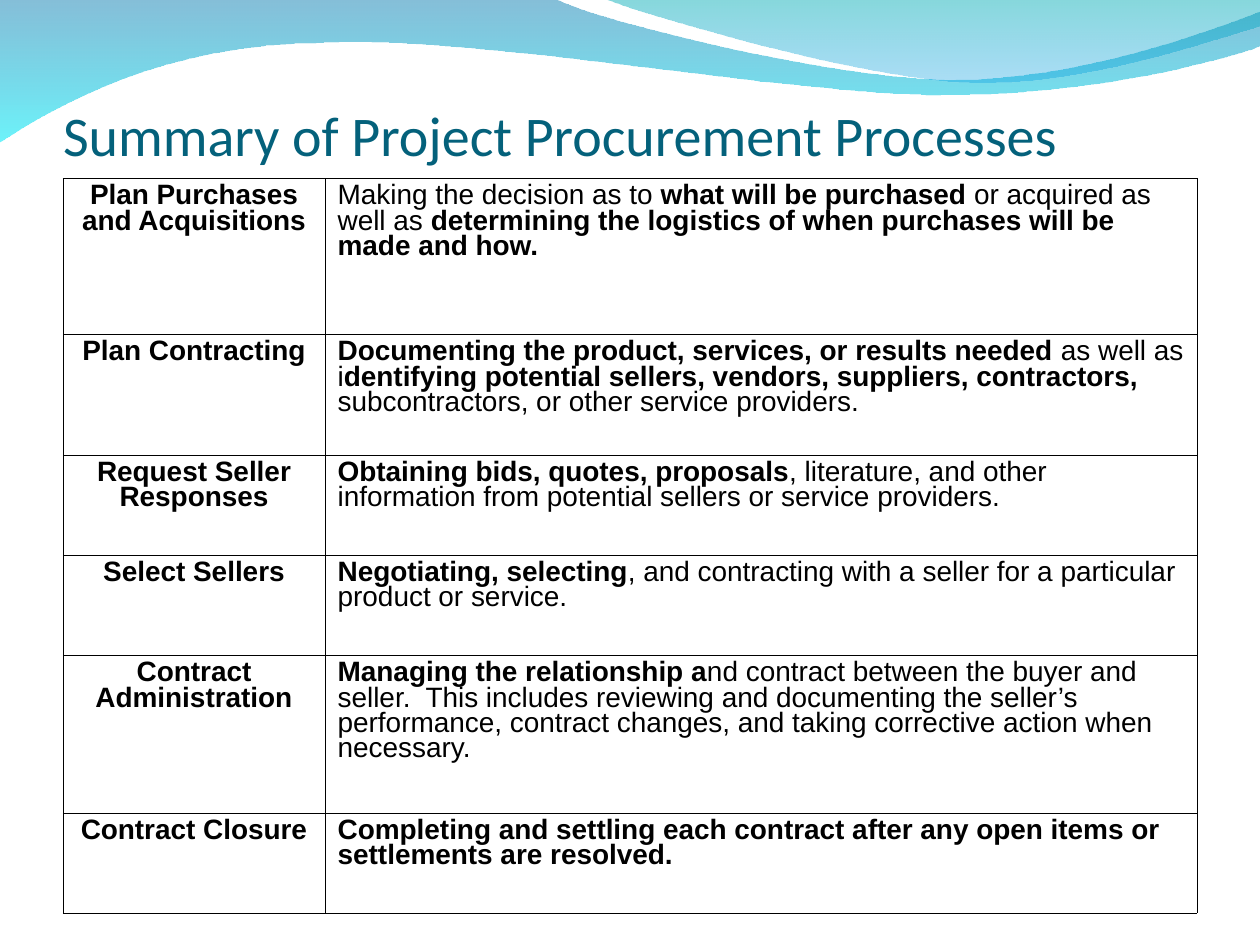
import pptx
import pptx.dml.color
import pptx.enum.text
import pptx.oxml
import pptx.oxml.ns
import pptx.util
from lxml import etree

INK = pptx.dml.color.RGBColor(0x00, 0x00, 0x00)
TITLE_TEAL = pptx.dml.color.RGBColor(0x04, 0x61, 0x7B)
DEEP_BLUE = pptx.dml.color.RGBColor(0x00, 0x79, 0xAF)
AQUA = pptx.dml.color.RGBColor(0x00, 0xEB, 0xF8)
SEA_GREEN = pptx.dml.color.RGBColor(0x00, 0xAD, 0xB6)
SKY_BLUE = pptx.dml.color.RGBColor(0x00, 0x9B, 0xE5)

ALIGN = pptx.enum.text.PP_ALIGN
ANCHOR = pptx.enum.text.MSO_ANCHOR
GRID_COLUMNS = 10
FIRST_WAVE_ID = 100
COLUMN_SHARES = (2.08, 6.92)
ROW_SHARES = (1.24, 0.96, 0.79, 0.8, 1.25, 0.8)
BORDER_WIDTH = pptx.util.Pt(0.06)

LONG_WAVE = [
    [(0, -0.01)],
    [(4.4, -0.01)],
    [(4.76, 0.17), (6.64, 0.63), (7.58, 0.63)],
    [(8.53, 0.63), (9.58, 0.26), (10, 0.09)],
    [(10.01, 0.36)],
    [(9.83, 0.44), (8.7, 0.76), (7.46, 0.75)],
    [(6.22, 0.75), (3.82, 0.28), (2.57, 0.34)],
    [(1.29, 0.35), (0.46, 0.83), (-0.01, 1.13)],
]
SHORT_WAVE = [
    [(4.79, -0.01)],
    [(5.09, 0.11), (6.82, 0.62), (7.69, 0.65)],
    [(8.56, 0.69), (9.61, 0.32), (10, 0.21)],
    [(10, 0)],
]
WAVES = [
    (LONG_WAVE, [(DEEP_BLUE, 48), (AQUA, 58)]),
    (SHORT_WAVE, [(SEA_GREEN, 48), (SKY_BLUE, 33)]),
]

PROCESSES = [
    ("Plan Purchases and Acquisitions",
     "Making the decision as to *what will be purchased* or acquired as well as "
     "*determining the logistics of when purchases will be made and how.*"),
    ("Plan Contracting",
     "*Documenting the product, services, or results needed* as well as i"
     "*dentifying potential sellers, vendors, suppliers, contractors,* "
     "subcontractors, or other service providers."),
    ("Request Seller Responses",
     "*Obtaining bids, quotes, proposals*, literature, and other information "
     "from potential sellers or service providers."),
    ("Select Sellers",
     "*Negotiating, selecting*, and contracting with a seller for a particular "
     "product or service."),
    ("Contract Administration",
     "*Managing the relationship a*nd contract between the buyer and seller.  "
     "This includes reviewing and documenting the seller’s performance, contract "
     "changes, and taking corrective action when necessary."),
    ("Contract Closure",
     "*Completing and settling each contract after any open items or "
     "settlements are resolved.*"),
]


def apply_format(target, values):
    """Set each named attribute of the target."""
    for name, value in values.items():
        setattr(target, name, value)


def style_font(font, color, values):
    """Give a font its colour and format values."""
    font.color.rgb = color
    apply_format(font, values)


def bend_segments(wave, outline):
    """Turn each run of three line points into one cubic curve."""
    lines = iter(list(wave.element.iter(pptx.oxml.ns.qn("a:lnTo"))))
    for segment in outline[1:]:
        nodes = [next(lines) for point in segment]
        if len(nodes) == 3:
            curve = pptx.oxml.parse_xml(
                f'<a:cubicBezTo {pptx.oxml.ns.nsdecls("a")}/>')
            nodes[0].addprevious(curve)
            for node in nodes:
                curve.append(node[0])
                node.getparent().remove(node)


def draw_wave(page, box, outline, stops):
    """Draw one translucent gradient wave on the grid of the box."""
    left, top, width, height = box
    unit = width / GRID_COLUMNS
    spots = [(left + x * unit, top + y * unit)
             for segment in outline for x, y in segment]
    builder = page.shapes.build_freeform(*spots[0])
    builder.add_line_segments(spots[1:], close=True)
    wave = builder.convert_to_shape()
    bend_segments(wave, outline)
    wave.shadow.inherit = False
    wave.line.fill.background()
    wave.fill.gradient()
    wave.fill.gradient_angle = 270
    for stop, (color, opacity) in zip(wave.fill.gradient_stops, stops):
        stop.color.rgb = color
    colors = wave.element.spPr.iter(pptx.oxml.ns.qn("a:srgbClr"))
    for node, (color, opacity) in zip(colors, stops):
        etree.SubElement(node, pptx.oxml.ns.qn("a:alpha"), val=str(opacity * 1000))
    return wave


def dress_master(deck, page, box):
    """Put the waves on the slide master, behind its placeholders."""
    front = deck.slide_master.placeholders[0].element
    for number, (outline, stops) in enumerate(WAVES):
        wave = draw_wave(page, box, outline, stops)
        wave.element.nvSpPr.cNvPr.set("id", str(FIRST_WAVE_ID + number))
        front.addprevious(wave.element)


def place_title(page, box, text):
    """Fill and format the title placeholder."""
    title = page.shapes.title
    apply_format(title, dict(zip(("left", "top", "width", "height"), box)))
    frame = title.text_frame
    apply_format(frame, {
        "text": text, "word_wrap": True, "vertical_anchor": ANCHOR.BOTTOM,
        "auto_size": pptx.enum.text.MSO_AUTO_SIZE.NONE,
        "margin_left": 0, "margin_right": 0, "margin_bottom": 0,
        "margin_top": pptx.util.Inches(0.05)})
    para = frame.paragraphs[0]
    para.alignment = ALIGN.LEFT
    style_font(para.runs[0].font, TITLE_TEAL,
               {"name": "Calibri", "size": pptx.util.Pt(32)})


def border_cell(cell):
    """Draw a thin line on each side of a cell."""
    properties = cell._tc.get_or_add_tcPr()
    for index, side in enumerate(("lnL", "lnR", "lnT", "lnB")):
        properties.insert(index, pptx.oxml.parse_xml(
            f'<a:{side} {pptx.oxml.ns.nsdecls("a")} w="{BORDER_WIDTH}">'
            f'<a:solidFill><a:srgbClr val="{INK}"/></a:solidFill></a:{side}>'))


def fill_cell(cell, text, alignment):
    """Write text in a cell, with starred parts in bold."""
    cell.fill.background()
    border_cell(cell)
    para = cell.text_frame.paragraphs[0]
    apply_format(para, {"alignment": alignment, "line_spacing": 0.81,
                        "space_before": pptx.util.Pt(4)})
    for index, part in enumerate(text.split("*")):
        if part:
            span = para.add_run()
            span.text = part
            style_font(span.font, INK, {"name": "Arial", "size": pptx.util.Pt(16),
                                        "bold": index % 2 == 1})


def place_table(page, box, processes):
    """Place the table of processes and their descriptions."""
    table = page.shapes.add_table(len(processes), len(COLUMN_SHARES), *box).table
    apply_format(table, {"first_row": False, "horz_banding": False})
    for column, share in zip(table.columns, COLUMN_SHARES):
        column.width = int(box[2] * share / sum(COLUMN_SHARES))
    for row, share in zip(table.rows, ROW_SHARES):
        row.height = int(box[3] * share / sum(ROW_SHARES))
    for row, (name, description) in zip(table.rows, processes):
        fill_cell(row.cells[0], f"*{name}*", ALIGN.CENTER)
        fill_cell(row.cells[1], description, ALIGN.LEFT)


def main():
    """Build and save the slide."""
    deck = pptx.Presentation()
    inches, points = pptx.util.Inches, pptx.util.Pt
    deck.slide_width = inches(10)
    deck.slide_height = inches(7.5)
    page = deck.slides.add_slide(deck.slide_layouts[5])
    dress_master(deck, page, (0, 0, deck.slide_width, deck.slide_height))
    place_title(page, (inches(0.5), inches(0.3), inches(9), inches(1.03)),
                "Summary of Project Procurement Processes")
    place_table(page, (inches(0.5), points(102), inches(9), points(420)), PROCESSES)
    deck.save("out.pptx")


if __name__ == "__main__":
    main()
